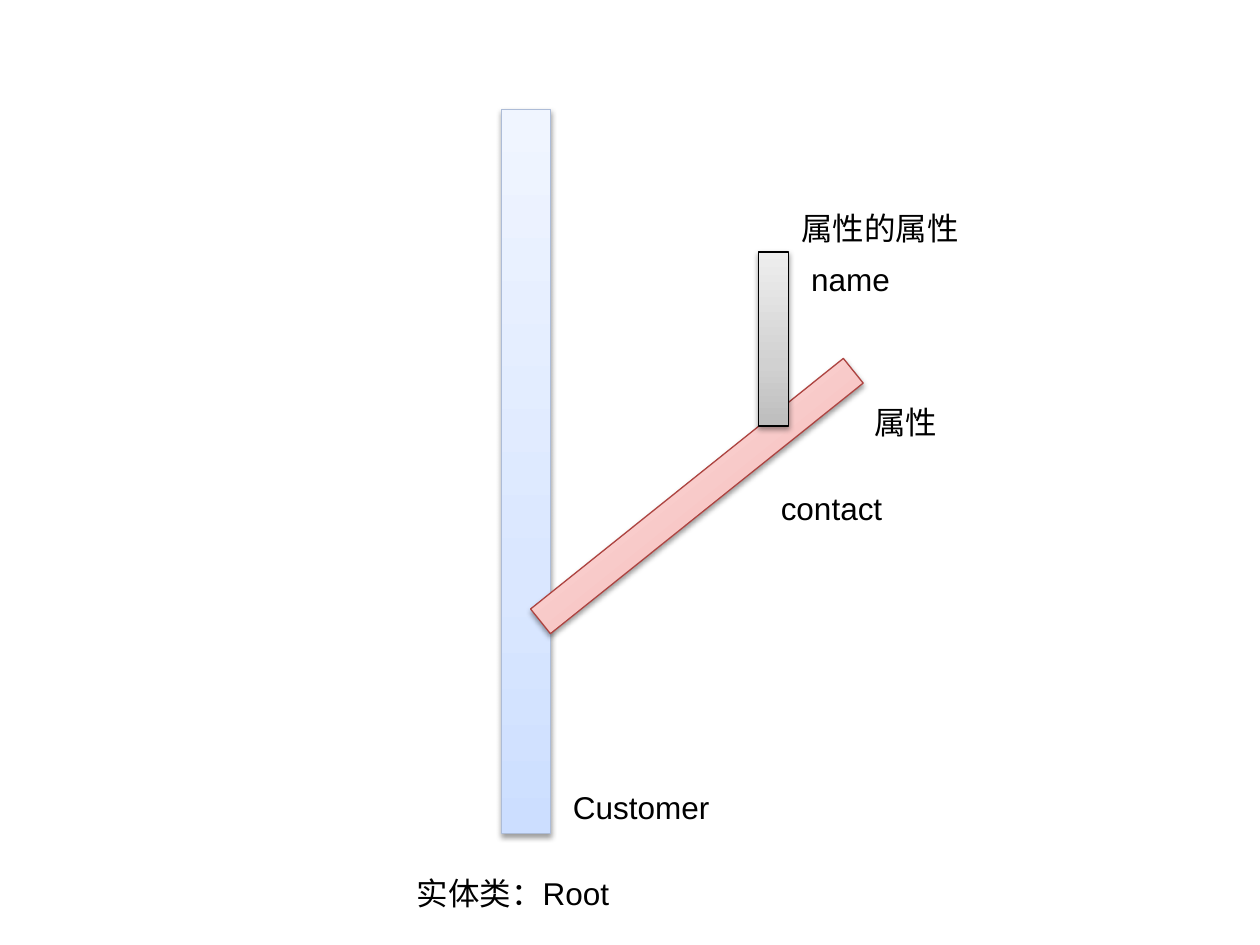
from copy import deepcopy

from lxml import etree
from pptx import Presentation
from pptx.dml.color import RGBColor
from pptx.enum.shapes import MSO_SHAPE
from pptx.enum.text import MSO_AUTO_SIZE
from pptx.oxml.ns import qn
from pptx.util import Cm, Pt

RECT = MSO_SHAPE.RECTANGLE
FIT_SHAPE = MSO_AUTO_SIZE.SHAPE_TO_FIT_TEXT
LABEL_HEIGHT = 1.02


def color(value):
    return RGBColor.from_string(value)


def set_gradient(s, colors):
    s.fill.gradient()
    s.fill.gradient_angle = 90
    stops = s._element.spPr.find(".//" + qn("a:gsLst"))
    stops.insert(1, deepcopy(stops[0]))
    for stop, position, value in zip(s.fill.gradient_stops, (0, 0.35, 1), colors):
        stop.position = position
        stop.color.rgb = color(value)


def add_shadow(s):
    s.shadow.inherit = False
    effects = s._element.spPr.find(qn("a:effectLst"))
    shadow = etree.SubElement(
        effects, qn("a:outerShdw"), blurRad=str(Pt(3.1)), dist=str(Pt(1.6)),
        dir="5400000", rotWithShape="0")
    black = etree.SubElement(shadow, qn("a:srgbClr"), val="000000")
    etree.SubElement(black, qn("a:alpha"), val="38000")


def add_bar(slide, box, colors, line, rotation):
    s = slide.shapes.add_shape(RECT, *map(Cm, box))
    s.rotation = rotation
    set_gradient(s, colors)
    s.line.color.rgb = color(line)
    s.line.width = Pt(0.75)
    add_shadow(s)


def add_label(slide, text, x, y, width):
    s = slide.shapes.add_textbox(Cm(x), Cm(y), Cm(width), Cm(LABEL_HEIGHT))
    tf = s.text_frame
    tf.word_wrap = True
    tf.auto_size = FIT_SHAPE
    tf.text = text
    font = tf.paragraphs[0].runs[0].font
    font.name = "Arial"
    font.size = Pt(18)
    font.color.rgb = color("000000")


def draw_limb(slide, box, colors, line, labels, rotation=0):
    add_bar(slide, box, colors, line, rotation)
    left, top = box[:2]
    for text, dx, dy, width in labels:
        add_label(slide, text, left + dx, top + dy, width)


def main():
    prs = Presentation()
    prs.slide_width, prs.slide_height = Cm(25.4), Cm(19.05)
    slide = prs.slides.add_slide(prs.slide_layouts[6])

    draw_limb(slide, (10.11, 2.21, 0.99, 14.6),
              ("CCDEFF", "DAE7FF", "F0F5FF"), "ADBCD7",
              [("实体类：Root", -1.96, 15.29, 4.9),
               ("Customer", 1.19, 13.56, 3.99)])
    draw_limb(slide, (10.01, 9.68, 8.08, 0.64),
              ("F6A7A6", "F7C2C1", "FDE7E6"), "AD4441",
              [("属性", 7.36, -1.68, 5.79),
               ("contact", 5.48, 0.05, 3.3)], rotation=321.3)
    draw_limb(slide, (15.29, 5.08, 0.61, 3.51),
              ("BDBDBD", "D1D1D1", "EEEEEE"), "000000",
              [("属性的属性", 0.61, -0.99, 5.79),
               ("name", 0.81, 0.03, 3)])

    prs.save("out.pptx")


if __name__ == "__main__":
    main()
